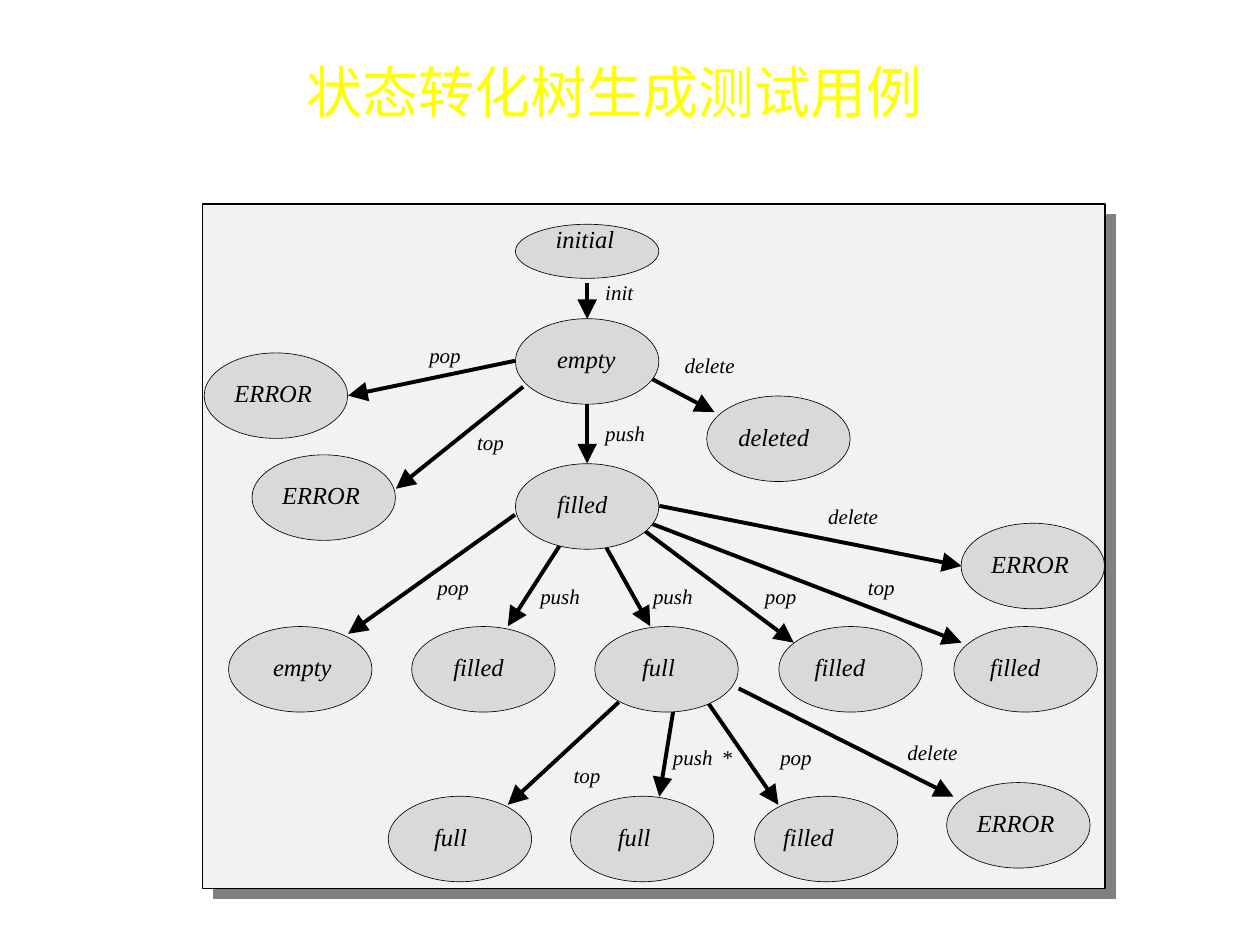
from lxml import etree
from pptx import Presentation
from pptx.dml.color import RGBColor
from pptx.enum.shapes import MSO_CONNECTOR, MSO_SHAPE
from pptx.enum.text import MSO_ANCHOR, PP_ALIGN
from pptx.oxml.ns import qn
from pptx.util import Inches, Pt

OVAL, RECTANGLE = MSO_SHAPE.OVAL, MSO_SHAPE.RECTANGLE
STRAIGHT = MSO_CONNECTOR.STRAIGHT
TOP, MIDDLE = MSO_ANCHOR.TOP, MSO_ANCHOR.MIDDLE
LEFT, CENTER = PP_ALIGN.LEFT, PP_ALIGN.CENTER

BLACK = RGBColor(0x00, 0x00, 0x00)
YELLOW = RGBColor(0xFF, 0xFF, 0x00)
PANEL_GREY = RGBColor(0xF2, 0xF2, 0xF2)
STATE_GREY = RGBColor(0xD9, 0xD9, 0xD9)
SHADOW_GREY = "808080"

LATIN_FONT = "Times New Roman"
CJK_FONT = "Noto Sans CJK SC"

# Boxes: left, top, width, height in inches
TITLE_BOX = (1.61, 0.52, 6.54, 0.47)
TREE_BOX = (1.61, 1.62, 7.16, 5.43)

# State size in percent of the tree box
STATE_WIDTH, STATE_HEIGHT, INITIAL_HEIGHT = 15.9, 12.5, 7.9
# Share of an oval's width or height outside its text area
OVAL_MARGIN = 0.146

# State: name, centre x, centre y (percent of the tree box),
# start of the name as a share of the oval's width
STATES = [
    ("empty", 42.6, 23.0, 0.29),
    ("ERROR", 8.1, 28.0, 0.21),
    ("ERROR", 13.4, 42.9, 0.21),
    ("deleted", 63.8, 34.3, 0.22),
    ("filled", 42.6, 44.2, 0.29),
    ("ERROR", 92.0, 52.9, 0.21),
    ("empty", 10.8, 68.0, 0.31),
    ("filled", 31.1, 68.0, 0.29),
    ("full", 51.4, 68.0, 0.33),
    ("filled", 71.8, 68.0, 0.25),
    ("filled", 91.2, 68.0, 0.25),
    ("full", 28.5, 92.8, 0.32),
    ("full", 48.7, 92.8, 0.33),
    ("filled", 69.1, 92.8, 0.2),
    ("ERROR", 90.4, 90.8, 0.21),
]

# Transition: event, label corner, arrow start, arrow tip (percent of the tree box)
TRANSITIONS = [
    ("init", (44.6, 10.9), (42.6, 11.6), (42.6, 16.8)),
    # from empty
    ("pop", (25.1, 20.1), (34.6, 22.9), (16.1, 28.0)),
    ("top", (30.4, 32.8), (35.5, 26.7), (21.4, 41.6)),
    ("push", (44.6, 31.5), (42.6, 29.1), (42.6, 37.9)),
    ("delete", (53.4, 21.5), (49.7, 25.5), (56.7, 30.4)),
    # from filled
    ("pop", (26.0, 54.0), (34.6, 45.4), (16.1, 62.8)),
    ("push", (37.4, 55.2), (39.9, 49.2), (33.8, 61.7)),
    ("push", (49.9, 55.2), (44.3, 49.2), (49.6, 61.7)),
    ("pop", (62.3, 55.2), (47.9, 46.7), (65.5, 64.1)),
    ("top", (73.7, 54.0), (49.7, 46.7), (84.1, 64.1)),
    ("delete", (69.3, 43.6), (50.6, 44.1), (84.1, 52.9)),
    # from full
    ("top", (41.1, 81.4), (46.1, 72.8), (33.8, 87.8)),
    ("push", (52.1, 78.8), (52.3, 72.8), (50.6, 86.6)),
    ("pop", (64.0, 78.8), (55.9, 72.7), (63.8, 87.8)),
    ("delete", (78.1, 78.1), (59.4, 70.8), (83.2, 86.6)),
]
PUSH_MARK = ("*", (57.5, 78.8))


def write(frame, text, size, font, color, align=LEFT, anchor=MIDDLE, italic=True):
    """Fill a text frame with one paragraph and no margins."""
    frame.word_wrap = True
    frame.vertical_anchor = anchor
    frame.margin_left = frame.margin_right = 0
    frame.margin_top = frame.margin_bottom = 0
    paragraph = frame.paragraphs[0]
    paragraph.text = text
    paragraph.alignment = align
    paragraph.font.size = Pt(size)
    paragraph.font.name = font
    paragraph.font.italic = italic
    paragraph.font.color.rgb = color
    return paragraph


def place(box, x, y):
    """Turn percents of a box into a slide position."""
    left, top, width, height = box
    return Inches(left + width * x / 100), Inches(top + height * y / 100)


def add_title(slide, box):
    title = slide.shapes.add_textbox(*map(Inches, box))
    heading = write(title.text_frame, "状态转化树生成测试用例", 32, CJK_FONT, YELLOW,
                    CENTER, TOP, italic=False)
    heading.line_spacing = 0.9
    etree.SubElement(heading.font._rPr, qn("a:ea"), typeface=CJK_FONT)


def add_panel(slide, box):
    panel = slide.shapes.add_shape(RECTANGLE, *map(Inches, box))
    panel.fill.solid()
    panel.fill.fore_color.rgb = PANEL_GREY
    panel.line.color.rgb = BLACK
    panel.line.width = Pt(0.75)
    # Hard shadow to the lower right
    effects = etree.SubElement(panel._element.spPr, qn("a:effectLst"))
    shadow = etree.SubElement(effects, qn("a:outerShdw"), blurRad="0", dist=str(Pt(8.5)),
                              dir="2700000", algn="ctr", rotWithShape="0")
    etree.SubElement(shadow, qn("a:srgbClr"), val=SHADOW_GREY)


def add_arrow(slide, box, start, tip):
    arrow = slide.shapes.add_connector(STRAIGHT, *place(box, *start), *place(box, *tip))
    arrow.line.color.rgb = BLACK
    arrow.line.width = Pt(2.25)
    etree.SubElement(arrow.line._get_or_add_ln(), qn("a:tailEnd"),
                     type="triangle", w="lg", len="lg")
    etree.SubElement(arrow._element.spPr, qn("a:effectLst"))


def add_event(slide, box, event, corner):
    label = slide.shapes.add_textbox(*place(box, *corner), Inches(0.45), Inches(0.22))
    write(label.text_frame, event, 12, LATIN_FONT, BLACK)


def add_state(slide, box, name, x, y, indent, height=STATE_HEIGHT, lift=0.02):
    """Draw a state; lift moves its name above the middle, in inches."""
    left, top = place(box, x - STATE_WIDTH / 2, y - height / 2)
    oval_width = Inches(box[2] * STATE_WIDTH / 100)
    state = slide.shapes.add_shape(OVAL, left, top, oval_width,
                                   Inches(box[3] * height / 100))
    state.shadow.inherit = False
    state.fill.solid()
    state.fill.fore_color.rgb = STATE_GREY
    state.line.color.rgb = BLACK
    state.line.width = Pt(0.38)
    write(state.text_frame, name, 14, LATIN_FONT, BLACK)
    state.text_frame.margin_left = int(oval_width * (indent - OVAL_MARGIN))
    state.text_frame.margin_bottom = Inches(2 * lift)


def add_tree(slide, box):
    add_panel(slide, box)
    for _, _, start, tip in TRANSITIONS:
        add_arrow(slide, box, start, tip)
    add_state(slide, box, "initial", 42.6, 6.9, 0.28, INITIAL_HEIGHT, 0.1)
    for state in STATES:
        add_state(slide, box, *state)
    for event, corner, _, _ in TRANSITIONS:
        add_event(slide, box, event, corner)
    add_event(slide, box, *PUSH_MARK)


def main():
    deck = Presentation()
    deck.slide_width, deck.slide_height = Inches(10), Inches(7.5)
    slide = deck.slides.add_slide(deck.slide_layouts[6])
    add_title(slide, TITLE_BOX)
    add_tree(slide, TREE_BOX)
    deck.save("out.pptx")


if __name__ == "__main__":
    main()
